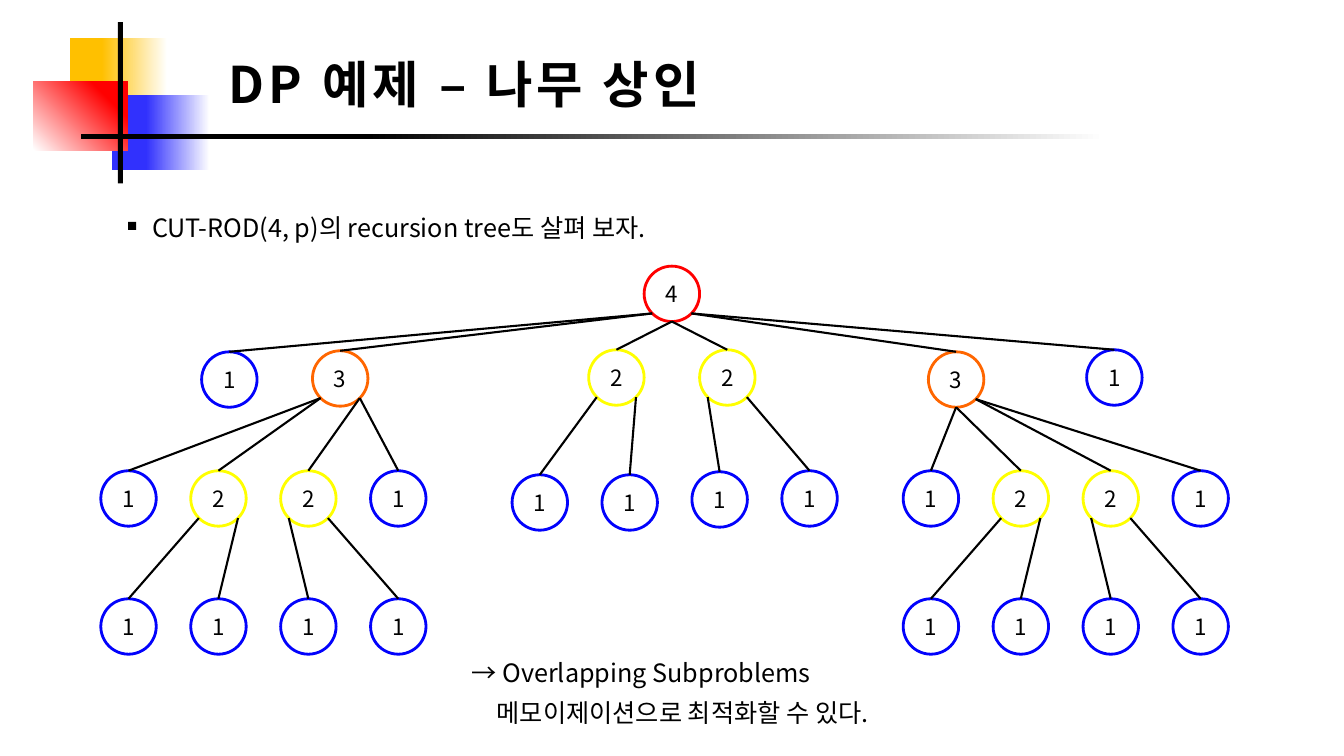
"""Builds the rod-cutting recursion tree slide."""
import dataclasses
import math

import lxml.etree
import pptx
import pptx.dml.color
import pptx.enum.shapes
import pptx.enum.text
import pptx.oxml.ns
import pptx.util

SHAPE = pptx.enum.shapes.MSO_SHAPE
ANCHOR = pptx.enum.text.MSO_ANCHOR
ALIGN = pptx.enum.text.PP_ALIGN
COLUMNS, ROWS = 133.33, 75
NODE = 5.5
STEP = 8.92


@dataclasses.dataclass(frozen=True)
class Theme:
    """Colours, font and sizes of the slide."""
    font: str = "Noto Sans CJK KR"
    ink: str = "000000"
    paper: str = "FFFFFF"
    gold: str = "FFC000"
    indigo: str = "3131FD"
    red: str = "FF0000"
    leaf: str = "0202FC"
    pair: str = "FFFF00"
    triple: str = "FF6600"
    title: int = 36
    body: int = 18
    label: int = 16
    ring: float = 2
    edge: float = 1.5

    def ring_colour(self, size):
        return {1: self.leaf, 2: self.pair, 3: self.triple, 4: self.red}[size]


class Deck:
    """Holds the theme and the current slide; lengths are grid columns and rows."""

    def __init__(self, theme):
        self.theme = theme
        self.prs = pptx.Presentation()
        self.prs.slide_width = pptx.util.Inches(13.33)
        self.prs.slide_height = pptx.util.Inches(7.5)
        self.s = self.prs.slides.add_slide(self.prs.slide_layouts[6])

    def grid(self, *lengths):
        spans = (self.prs.slide_width / COLUMNS, self.prs.slide_height / ROWS)
        return [round(n * spans[i % 2]) for i, n in enumerate(lengths)]

    def rgb(self, colour):
        return pptx.dml.color.RGBColor.from_string(colour)

    def add_run(self, tf, text, size, spacing=0, **extra):
        r = tf.paragraphs[0].add_run()
        r.text = text
        style = {"name": self.theme.font, "size": pptx.util.Pt(size), **extra}
        for key, value in style.items():
            setattr(r.font, key, value)
        r.font.color.rgb = self.rgb(self.theme.ink)
        rpr = r._r.get_or_add_rPr()
        ea = lxml.etree.SubElement(rpr, pptx.oxml.ns.qn("a:ea"))
        ea.set("typeface", self.theme.font)
        if spacing:
            rpr.set("spc", str(spacing * 100))

    def text(self, box, text, size, **style):
        tf = self.s.shapes.add_textbox(*self.grid(*box)).text_frame
        fmt = {"word_wrap": True,
               "auto_size": pptx.enum.text.MSO_AUTO_SIZE.SHAPE_TO_FIT_TEXT}
        for key, value in fmt.items():
            setattr(tf, key, value)
        self.add_run(tf, text, size, **style)

    def shape(self, kind, box, colour):
        sp = self.s.shapes.add_shape(kind, *self.grid(*box))
        sp.shadow.inherit = False
        sp.fill.solid()
        sp.fill.fore_color.rgb = self.rgb(colour)
        sp.line.fill.background()
        return sp

    def fade(self, box, colour, share, angle=180):
        fill = self.shape(SHAPE.RECTANGLE, box, colour).fill
        fill.gradient()
        fill.gradient_angle = angle
        stops = ((0, self.theme.paper), (share, colour))
        for stop, (position, tone) in zip(fill.gradient_stops, stops):
            stop.position = position
            stop.color.rgb = self.rgb(tone)

    def node(self, size, x, y):
        sp = self.shape(SHAPE.OVAL, (x, y, NODE, NODE), self.theme.paper)
        sp.line.color.rgb = self.rgb(self.theme.ring_colour(size))
        sp.line.width = pptx.util.Pt(self.theme.ring)
        tf = sp.text_frame
        fmt = {"margin_left": 0, "margin_right": 0, "margin_top": 0,
               "margin_bottom": 0, "vertical_anchor": ANCHOR.MIDDLE}
        for key, value in fmt.items():
            setattr(tf, key, value)
        tf.paragraphs[0].alignment = ALIGN.CENTER
        self.add_run(tf, str(size), self.theme.label)
        return sp

    def edge(self, x, y, side, child):
        radius, turn = NODE / 2, side * math.pi / 4
        start = self.grid(x + radius * (1 + math.sin(turn)),
                          y + radius * (1 + math.cos(turn)))
        line = self.s.shapes.add_connector(
            pptx.enum.shapes.MSO_CONNECTOR.STRAIGHT, *start, *start)
        line.end_connect(child, 0)
        line.line.color.rgb = self.rgb(self.theme.ink)
        line.line.width = pptx.util.Pt(self.theme.edge)
        lxml.etree.SubElement(line._element.spPr, pptx.oxml.ns.qn("a:effectLst"))

    def tree(self, size, x, y, branches=()):
        sp = self.node(size, x, y)
        for side, branch in branches:
            self.edge(x, y, side, self.tree(*branch))
        return sp


def two(x, y, left, leaf_rows):
    """Returns a node of size 2 with its two leaves."""
    leaves = [(side, (1, left + i * STEP, row))
              for i, (side, row) in enumerate(zip((-1, 1), leaf_rows))]
    return 2, x, y, leaves


def three(x, y, left, sides):
    """Returns a node of size 3 with its four branches."""
    row, floor = 46.7, (59.4, 59.4)
    cols = [left + i * STEP for i in range(4)]
    branches = [(1, cols[0], row), two(cols[1], row, cols[0], floor),
                two(cols[2], row, cols[2], floor), (1, cols[3], row)]
    return 3, x, y, list(zip(sides, branches))


def main():
    """Draws the slide and saves it."""
    t = Theme()
    d = Deck(t)
    d.text((21.7, 4.8, 73.2, 7.1), "DP 예제 – 나무 상인", t.title, spacing=3, bold=True)
    d.fade((6.9, 3.8, 9.7, 9.5), t.gold, 0.67)
    d.fade((11.1, 9.4, 9.7, 7.5), t.indigo, 0.65)
    d.fade((3.3, 8.1, 9.4, 6.8), t.red, 0.78, angle=45)
    d.shape(SHAPE.RECTANGLE, (11.7, 2.2, 0.5, 16), t.ink)
    d.fade((8, 13.3, 101.6, 0.5), t.ink, 0.72)
    d.text((14.1, 20.6, 70.1, 4), "CUT-ROD(4, p)의 recursion tree도 살펴 보자.", t.body)
    d.shape(SHAPE.RECTANGLE, (12.7, 22, 0.8, 0.8), t.ink)
    middle = 50.8
    d.tree(4, 63.9, 26.4, [
        (-1, (1, 20, 34.9)),
        (-1, three(31, 34.8, 10, (-1, -1, 1, 1))),
        (0, two(58.4, 34.7, middle, (47.1, 47.1))),
        (0, two(69.4, 34.7, middle + 2 * STEP, (46.8, 46.7))),
        (1, three(92.1, 34.9, 89.6, (0, 0, 1, 1))),
        (1, (1, 107.8, 34.7)),
    ])
    d.text((45.8, 64.7, 40.2, 4), "→ Overlapping Subproblems", t.body)
    d.text((48.3, 68.7, 42.8, 4), "메모이제이션으로 최적화할 수 있다.", t.body)
    d.prs.save("out.pptx")


if __name__ == "__main__":
    main()
